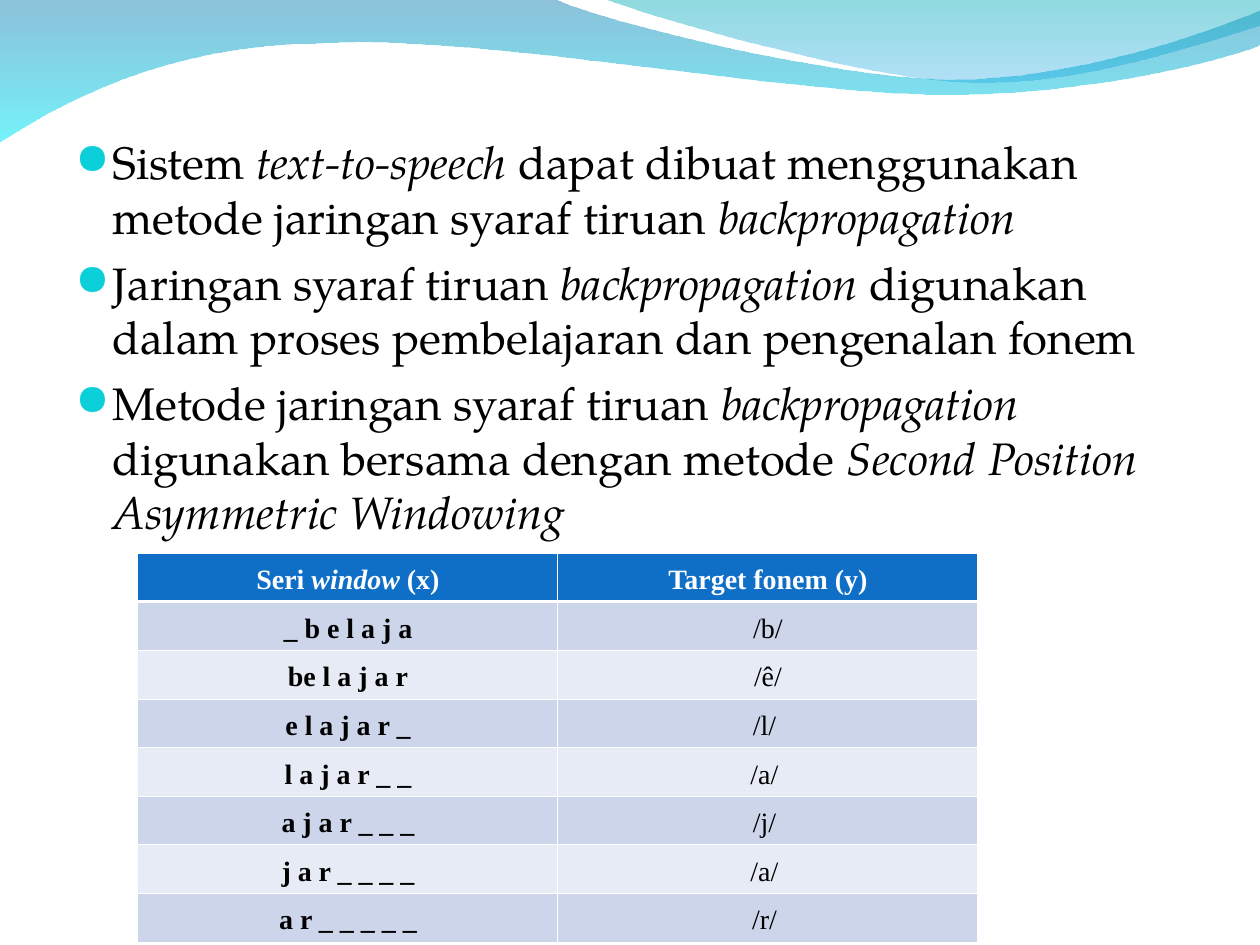
from lxml import etree
from pptx import Presentation
from pptx.dml.color import RGBColor
from pptx.enum.text import PP_ALIGN
from pptx.oxml.ns import qn
from pptx.util import Emu, Pt

PX = 914400 // 126
SLIDE_W, SLIDE_H = 1260, 945
CENTER, LEFT = PP_ALIGN.CENTER, PP_ALIGN.LEFT

BLACK = RGBColor(0x00, 0x00, 0x00)
WHITE = RGBColor(0xFF, 0xFF, 0xFF)
BULLET = RGBColor(0x0B, 0xD0, 0xD9)
HEADER = RGBColor(0x0F, 0x6F, 0xC6)
BANDS = (RGBColor(0xCC, 0xD5, 0xEA), RGBColor(0xE7, 0xEB, 0xF5))
DEEP_BLUE = RGBColor(0x00, 0x79, 0xAF)
CYAN = RGBColor(0x00, 0xEB, 0xF8)
TEAL = RGBColor(0x00, 0xAD, 0xB6)
SKY = RGBColor(0x00, 0x9B, 0xE5)

BODY_FONT, TABLE_FONT, BULLET_FONT = "TeX Gyre Pagella", "Times New Roman", "OpenSymbol"

# Each wave starts at a point; one point adds a line, three add a Bézier curve.
LONG_WAVE_START = (-1, -1)
LONG_WAVE = [
    [(554, -1)],
    [(600, 21), (837, 79), (955, 79)],
    [(1074, 79), (1207, 33), (1260, 11)],
    [(1261, 45)],
    [(1239, 55), (1096, 96), (940, 94)],
    [(784, 94), (481, 35), (324, 43)],
    [(163, 44), (58, 105), (-1, 142)],
]
SHORT_WAVE_START = (604, -1)
SHORT_WAVE = [
    [(641, 14), (859, 78), (969, 82)],
    [(1079, 87), (1211, 40), (1260, 26)],
    [(1260, 0)],
]

POINTS = [
    "Sistem *text-to-speech *dapat dibuat menggunakan metode jaringan syaraf "
    "tiruan *backpropagation*",
    "Jaringan syaraf tiruan *backpropagation *digunakan dalam proses "
    "pembelajaran dan pengenalan fonem",
    "Metode jaringan syaraf tiruan *backpropagation *digunakan bersama dengan "
    "metode *Second Position Asymmetric Windowing*",
]
WINDOWS = [
    ("Seri* window* (x)", "Target fonem (y)"),
    ("_ b e l a j a", "/b/"),
    ("be l a j a r", "/ê/"),
    ("e l a j a r _", "/l/ "),
    ("l a j a r _ _", "/a/ "),
    ("a j a r _ _ _", "/j/ "),
    ("j a r _ _ _ _", "/a/ "),
    ("a r _ _ _ _ _", "/r/ "),
]


def px(length):
    return Emu(length * PX)


def add_child(parent, tag, **attributes):
    return etree.SubElement(parent, qn(tag), **attributes)


def write(paragraph, text, *, font, size, color, bold=False, align=LEFT,
          line_spacing=None, space_before=None):
    """Fill a paragraph; parts between asterisks become italic."""
    paragraph.alignment = align
    if line_spacing:
        paragraph.line_spacing = line_spacing
    if space_before:
        paragraph.space_before = Pt(space_before)
    for index, part in enumerate(text.split("*")):
        if not part:
            continue
        run = paragraph.add_run()
        run.text = part
        run.font.name, run.font.size = font, Pt(size)
        run.font.bold, run.font.italic = bold, index % 2 == 1
        run.font.color.rgb = color


def bend(wave, segments):
    """Join the straight steps of each three-point segment into one curve."""
    steps = iter(list(wave._element.iter(qn("a:lnTo"))))
    for segment in segments:
        parts = [next(steps) for _ in segment]
        if len(parts) == 3:
            parts[0].tag = qn("a:cubicBezTo")
            for part in parts[1:]:
                parts[0].append(part[0])
                part.getparent().remove(part)


def add_wave(slide, start, segments, stops):
    """Draw an outline filled top to bottom by (colour, opacity %) stops."""
    builder = slide.shapes.build_freeform(*start, scale=PX)
    builder.add_line_segments(sum(segments, []), close=True)
    wave = builder.convert_to_shape()
    bend(wave, segments)
    wave.shadow.inherit = False
    wave.line.fill.background()
    wave.fill.gradient()
    wave.fill.gradient_angle = 270
    for stop, (color, _) in zip(wave.fill.gradient_stops, stops):
        stop.color.rgb = color
    colors = wave._element.spPr.iter(qn("a:srgbClr"))
    for node, (_, opacity) in zip(list(colors), stops):
        add_child(node, "a:alpha", val=str(opacity * 1000))


def add_bullet(paragraph, indent):
    properties = paragraph._p.get_or_add_pPr()
    properties.set("marL", str(px(indent)))
    properties.set("indent", str(-px(indent)))
    add_child(add_child(properties, "a:buClr"), "a:srgbClr", val=str(BULLET))
    add_child(properties, "a:buSzPct", val="95000")
    add_child(properties, "a:buFont", typeface=BULLET_FONT)
    add_child(properties, "a:buChar", char="●")


def add_points(slide, left, top, width, height):
    frame = slide.shapes.add_textbox(px(left), px(top), px(width), px(height)).text_frame
    frame.word_wrap = True
    for index, point in enumerate(POINTS):
        paragraph = frame.add_paragraph() if index else frame.paragraphs[0]
        add_bullet(paragraph, 37)
        write(paragraph, point, font=BODY_FONT, size=26, color=BLACK,
              space_before=6.5 if index else None)


def add_borders(cell, **widths):
    properties = cell._tc.get_or_add_tcPr()
    for side in "LRTB":
        line = add_child(properties, f"a:ln{side}", w=str(Pt(widths.get(side, 0.45))))
        add_child(add_child(line, "a:solidFill"), "a:srgbClr", val=str(WHITE))


def add_windows_table(slide, left, top, column_width, row_height):
    rows, columns = len(WINDOWS), len(WINDOWS[0])
    table = slide.shapes.add_table(rows, columns, px(left), px(top),
                                   px(column_width * columns),
                                   px(row_height * rows)).table
    table.horz_banding = False
    for column in table.columns:
        column.width = px(column_width)
    for r, texts in enumerate(WINDOWS):
        table.rows[r].height = px(row_height)
        rule = {0: {"B": 1.47}, 1: {"T": 1.47}}.get(r, {})
        for c, text in enumerate(texts):
            cell = table.cell(r, c)
            cell.margin_left, cell.margin_right = px(11), px(9)
            cell.margin_top, cell.margin_bottom = px(7), px(3)
            add_borders(cell, **rule)
            cell.fill.solid()
            cell.fill.fore_color.rgb = BANDS[(r - 1) % 2] if r else HEADER
            write(cell.text_frame.paragraphs[0], text, font=TABLE_FONT, size=16,
                  color=BLACK if r else WHITE, bold=r == 0 or c == 0,
                  align=CENTER, line_spacing=1.15)


def main():
    deck = Presentation()
    deck.slide_width, deck.slide_height = px(SLIDE_W), px(SLIDE_H)
    slide = deck.slides.add_slide(deck.slide_layouts[6])
    add_wave(slide, LONG_WAVE_START, LONG_WAVE, [(DEEP_BLUE, 45), (CYAN, 55)])
    add_wave(slide, SHORT_WAVE_START, SHORT_WAVE, [(TEAL, 45), (SKY, 30)])
    add_points(slide, 63, 128, 1134, 743)
    add_windows_table(slide, 137, 553, 420, 39)
    deck.save("out.pptx")


if __name__ == "__main__":
    main()
